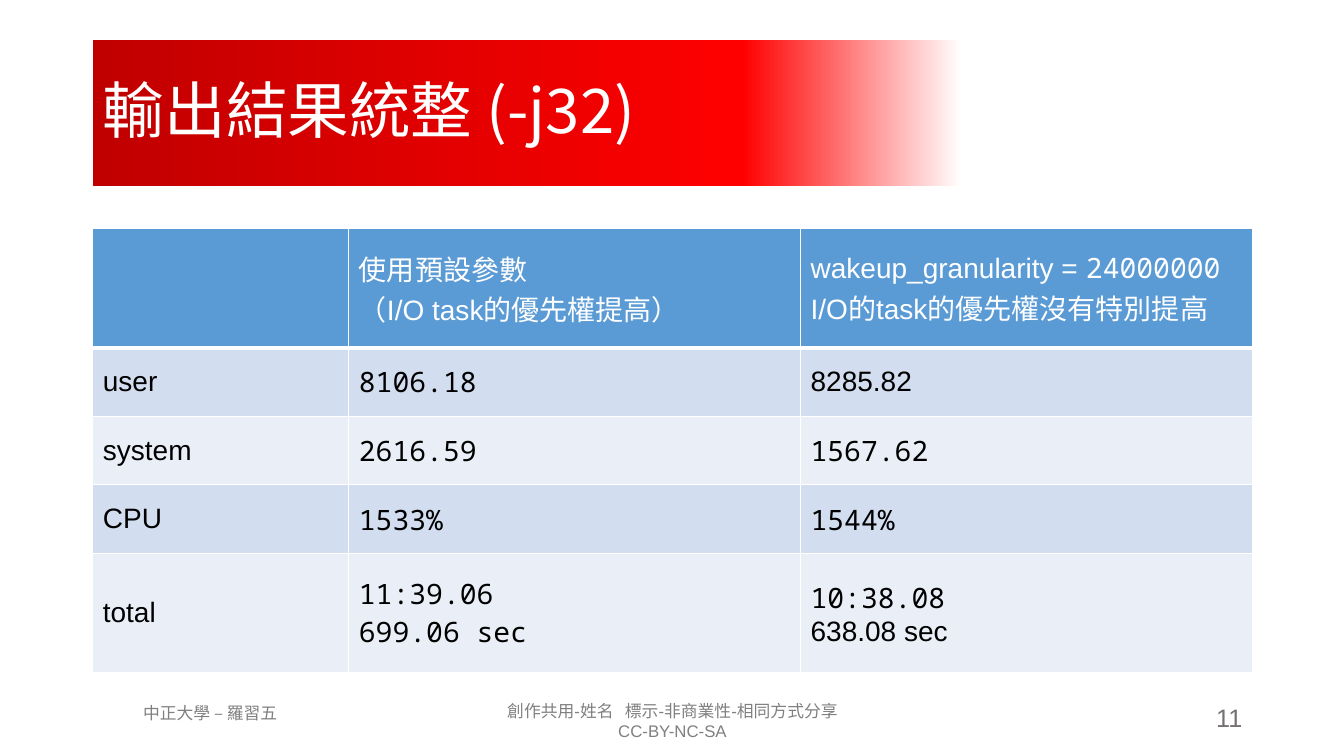
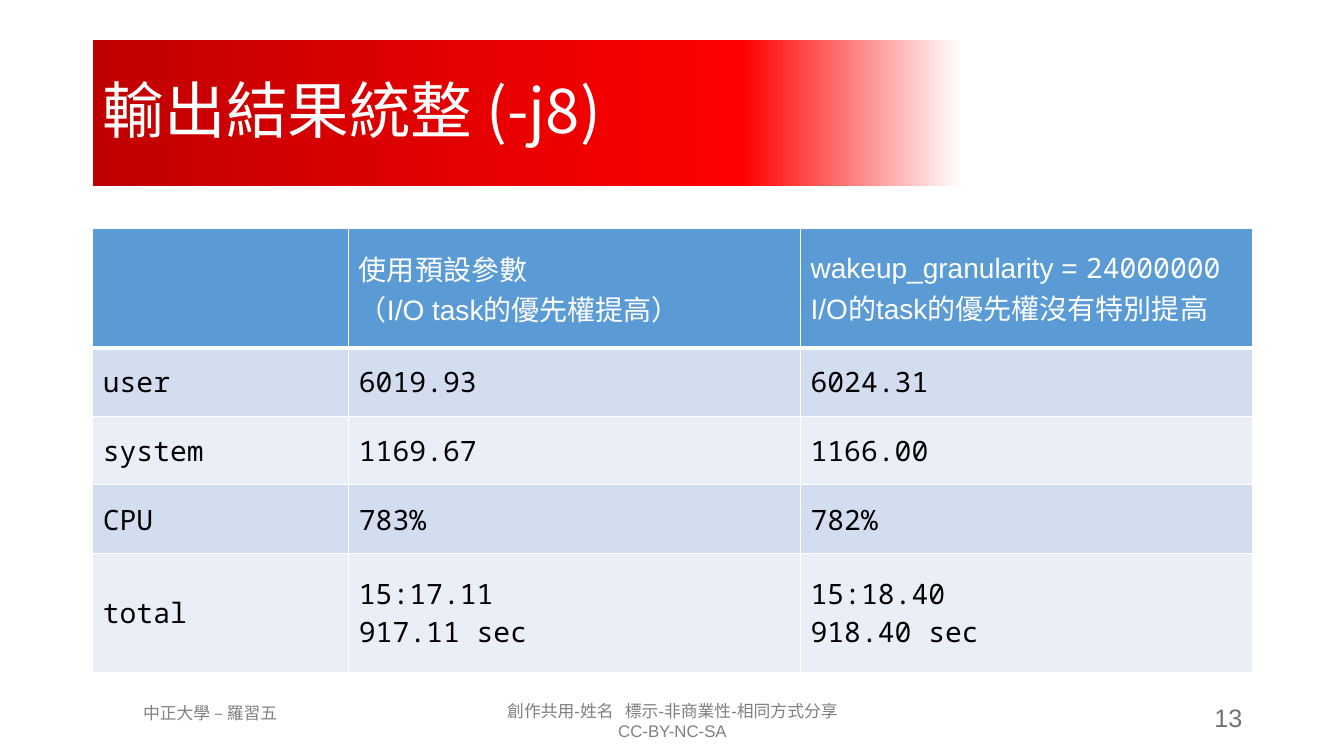
from lxml import etree
from pptx import Presentation
from pptx.dml.color import RGBColor
from pptx.enum.text import MSO_ANCHOR, MSO_AUTO_SIZE, PP_ALIGN
from pptx.oxml import parse_xml
from pptx.oxml.ns import nsdecls, qn
from pptx.util import Inches, Pt

LEFT, MID, RIGHT = PP_ALIGN.LEFT, PP_ALIGN.CENTER, PP_ALIGN.RIGHT
CENTRE = MSO_ANCHOR.MIDDLE
FIXED = MSO_AUTO_SIZE.NONE

WHITE = RGBColor(0xFF, 0xFF, 0xFF)
BLACK = RGBColor(0, 0, 0)
CRIMSON = RGBColor(0xC0, 0, 0)
RED = RGBColor(0xFF, 0, 0)
BLUE = RGBColor(0x5B, 0x9B, 0xD5)
BANDS = RGBColor(0xEA, 0xEF, 0xF7), RGBColor(0xD2, 0xDE, 0xEF)
GREY = RGBColor(0x80, 0x80, 0x80)
DARK = RGBColor(0x76, 0x71, 0x71)

SANS, MONO, HAN = "Arial", "Noto Sans Mono", "Noto Sans CJK SC"
EDGE, WIDTH = 0.92, 11.5
FADE = (0, CRIMSON), (56, RED), (75, WHITE), (100, WHITE)
COLS = 2.54, 4.48, 4.48
ROWS = 1.18, 0.68, 0.68, 0.68, 1.18


def sans(*lines):
    return [[(line, SANS)] for line in lines]


def mono(*lines):
    return [[(line, MONO)] for line in lines]


class Deck:
    """Holds the shared style and the current slide."""

    def __init__(self):
        self.prs = Presentation()
        self.prs.slide_width = Inches(13.33)
        self.prs.slide_height = Inches(7.5)
        self.slide = None

    def page(self, title, number):
        self.slide = self.prs.slides.add_slide(self.prs.slide_layouts[5])
        self.footer(4.21, 6.9, 4.92, 0.5, MID, 12, GREY,
                    "創作共用-姓名   標示-非商業性-相同方式分享", "CC-BY-NC-SA")
        self.footer(0.83, 6.92, 2.51, 0.3, MID, 12, GREY, "中正大學 – 羅習五")
        self.footer(10.3, 6.92, 2.12, 0.4, RIGHT, 18, DARK, str(number))
        self.title(title)

    def style(self, para, size, color, name=None):
        font = para.font
        font.size, font.color.rgb, font.bold = Pt(size), color, False
        if name:
            font.name = name

    def title(self, text):
        shape = self.slide.shapes.title
        shape.left, shape.top = Inches(EDGE), Inches(0.4)
        shape.width, shape.height = Inches(WIDTH), Inches(1.45)
        # Red band that fades to white
        stops = "".join(
            f'<a:gs pos="{pos * 1000}"><a:srgbClr val="{color}"/></a:gs>'
            for pos, color in FADE)
        shape._element.spPr.append(parse_xml(
            f'<a:gradFill {nsdecls("a")} rotWithShape="1"><a:gsLst>{stops}'
            '</a:gsLst><a:lin ang="0" scaled="0"/></a:gradFill>'))
        frame = shape.text_frame
        frame.text = text
        frame.auto_size, frame.vertical_anchor = FIXED, CENTRE
        para = frame.paragraphs[0]
        para.alignment, para.line_spacing = LEFT, 0.9
        self.style(para, 44, WHITE, HAN)
        face = etree.SubElement(para.font._element, qn("a:ea"))
        face.set("typeface", HAN)

    def footer(self, x, y, w, h, align, size, color, *lines):
        box = self.slide.shapes.add_textbox(
            Inches(x), Inches(y), Inches(w), Inches(h))
        frame = box.text_frame
        frame.word_wrap = True
        frame.text = "\n".join(lines)
        for para in frame.paragraphs:
            para.alignment = align
            self.style(para, size, color, SANS)

    def border(self, cell, **widths):
        props = cell._tc.get_or_add_tcPr()
        for side, width in widths.items():
            props.append(parse_xml(
                f'<a:ln{side} {nsdecls("a")} w="{Pt(width)}"><a:solidFill>'
                f'<a:srgbClr val="{WHITE}"/></a:solidFill></a:ln{side}>'))

    def cell(self, cell, row, lines):
        head = row == 0
        self.border(cell, L=1, R=1, T=3 if row == 1 else 1, B=3 if head else 1)
        cell.fill.solid()
        cell.fill.fore_color.rgb = BLUE if head else BANDS[row % 2]
        cell.vertical_anchor = CENTRE
        frame = cell.text_frame
        for i, runs in enumerate(lines):
            para = frame.add_paragraph() if i else frame.paragraphs[0]
            alone = len(runs) == 1
            self.style(para, 20, WHITE if head else BLACK,
                       runs[0][1] if alone else None)
            for text, name in runs:
                run = para.add_run()
                run.text = text
                if not alone:
                    run.font.name = name

    def table(self, rows):
        table = self.slide.shapes.add_table(
            len(ROWS), len(COLS), Inches(EDGE), Inches(2.27),
            Inches(WIDTH), Inches(sum(ROWS))).table
        for col, width in zip(table.columns, COLS):
            col.width = Inches(width)
        for row, height in zip(table.rows, ROWS):
            row.height = Inches(height)
        for r, row in enumerate(rows):
            for c, lines in enumerate(row):
                self.cell(table.cell(r, c), r, lines)


HEAD = (
    [],
    sans("使用預設參數", "（I/O task的優先權提高）"),
    [[("wakeup_granularity = ", SANS), ("24000000", MONO)],
     *sans("I/O的task的優先權沒有特別提高")],
)


def main():
    deck = Deck()

    # Results with 32 jobs
    deck.page("輸出結果統整 (-j32)", 11)
    deck.table([
        HEAD,
        (sans("user"), mono("8106.18"), sans("8285.82")),
        (sans("system"), mono("2616.59"), mono("1567.62")),
        (sans("CPU"), mono("1533%"), mono("1544%")),
        (sans("total"), mono("11:39.06", "699.06 sec"),
         mono("10:38.08") + sans("638.08 sec")),
    ])

    # Results with 8 jobs
    deck.page("輸出結果統整 (-j8)", 13)
    deck.table([
        HEAD,
        (mono("user"), mono("6019.93"), mono("6024.31")),
        (mono("system"), mono("1169.67"), mono("1166.00")),
        (mono("CPU"), mono("783%"), mono("782%")),
        (mono("total"), mono("15:17.11", "917.11 sec"),
         mono("15:18.40", "918.40 sec")),
    ])

    deck.prs.save("out.pptx")


if __name__ == "__main__":
    main()
